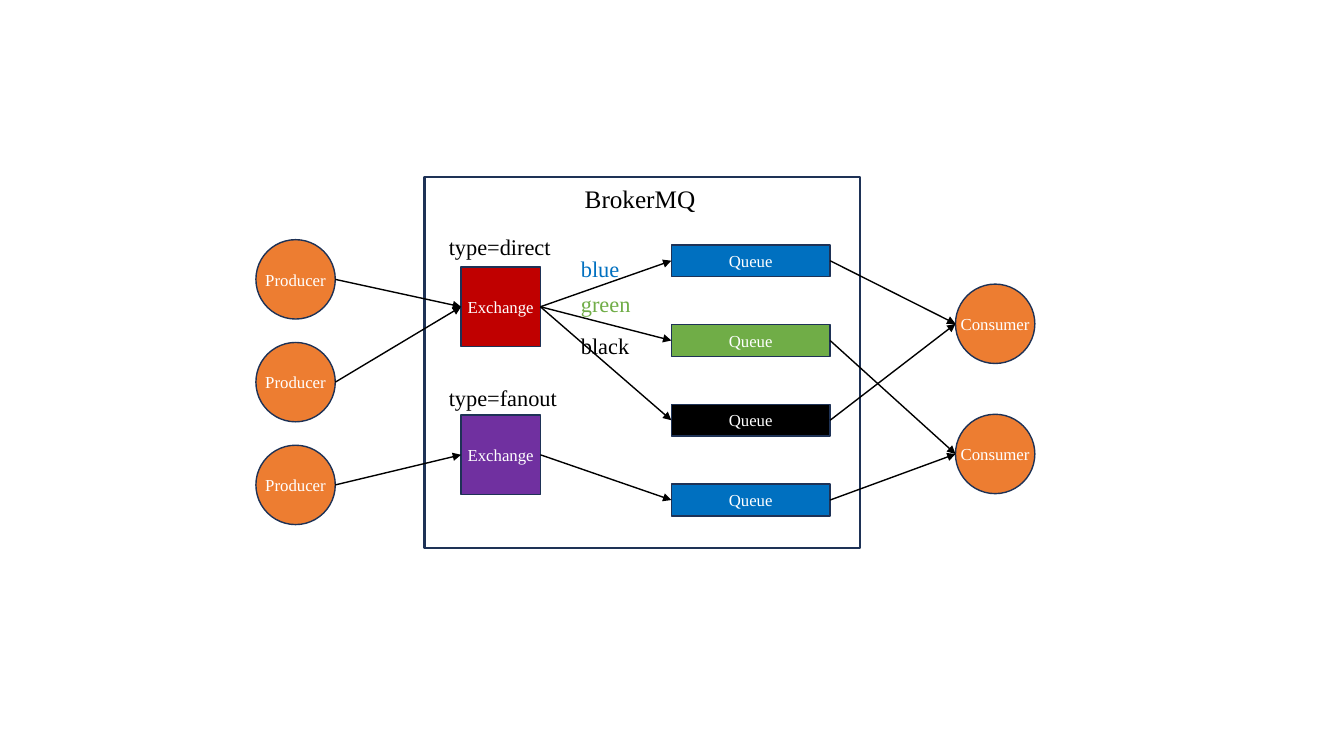
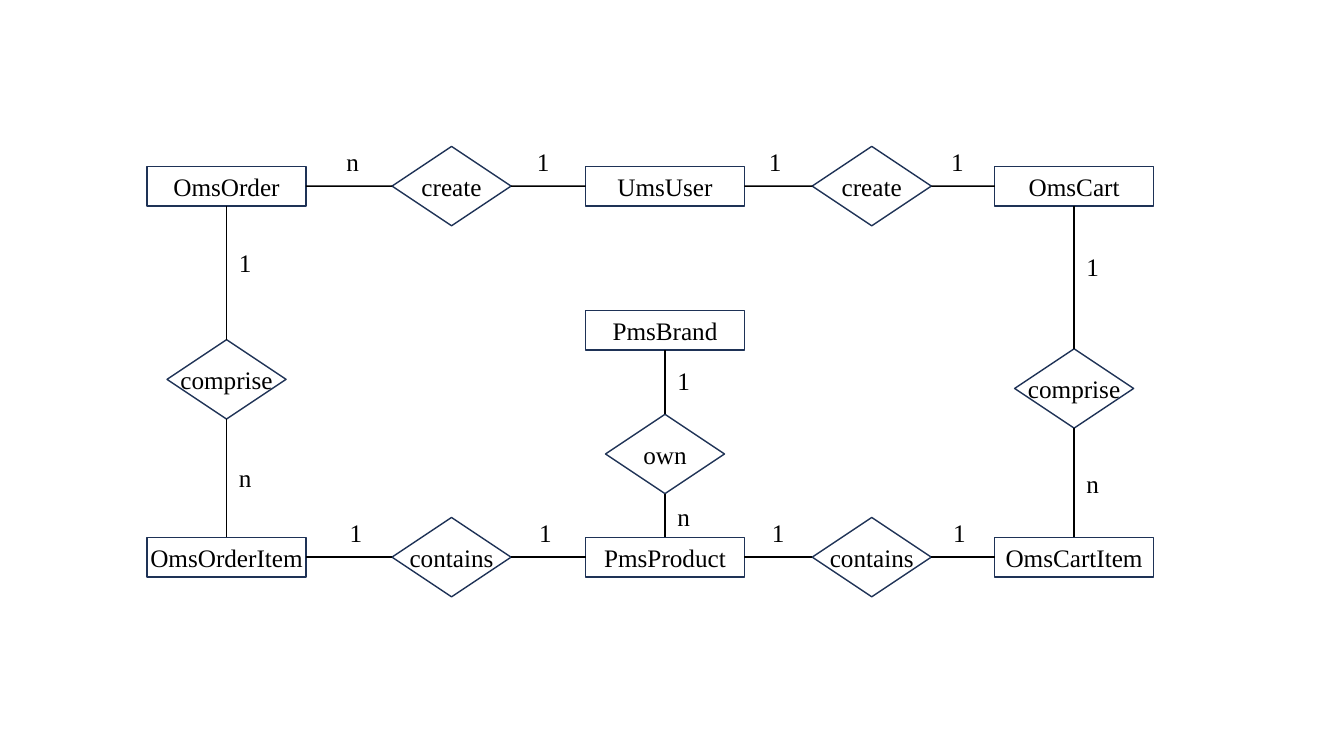
"""Build two diagrams: a message broker flow and an entity relationship chart."""
from dataclasses import dataclass

from lxml import etree
from pptx import Presentation
from pptx import util as u
from pptx.dml.color import RGBColor
from pptx.enum import shapes, text
from pptx.oxml.ns import qn

TOP, LEFT, BOTTOM, RIGHT = range(4)


@dataclass(frozen=True)
class Theme:
    """Colours, font and type sizes shared by the slides."""
    font: str = "Times New Roman"
    ink: str = "000000"
    paper: str = "FFFFFF"
    outline: str = "1E3256"
    orange: str = "ED7D31"
    red: str = "C00000"
    purple: str = "7030A0"
    blue: str = "0070C0"
    green: str = "70AD47"
    small: int = 12
    medium: int = 16
    large: int = 18
    thin: float = 1
    thick: float = 1.5


@dataclass(frozen=True)
class Box:
    """A region in centimetres."""
    left: float
    top: float
    width: float
    height: float

    def inner(self, left, top, width, height):
        """Return a box placed relative to this one."""
        return Box(self.left + left, self.top + top, width, height)

    def lengths(self):
        """Return left, top, width and height as lengths."""
        return [u.Cm(side) for side in (self.left, self.top, self.width, self.height)]


THEME = Theme()
KIND = shapes.MSO_SHAPE


def write(frame, words, size, color, align):
    """Write one unwrapped paragraph in a text frame."""
    frame.word_wrap = False
    paragraph = frame.paragraphs[0]
    paragraph.text = words
    paragraph.alignment = align
    paragraph.font.name = THEME.font
    paragraph.font.size = u.Pt(size)
    paragraph.font.color.rgb = RGBColor.from_string(color)


def add_node(slide, kind, box, words="", fill=None, size=THEME.small,
             color=THEME.paper, weight=THEME.thin):
    """Add an outlined shape with centred words."""
    node = slide.shapes.add_shape(kind, *box.lengths())
    node.shadow.inherit = False
    if fill:
        node.fill.solid()
        node.fill.fore_color.rgb = RGBColor.from_string(fill)
    else:
        node.fill.background()
    node.line.color.rgb = RGBColor.from_string(THEME.outline)
    node.line.width = u.Pt(weight)
    if words:
        node.text_frame.vertical_anchor = text.MSO_ANCHOR.MIDDLE
        write(node.text_frame, words, size, color, text.PP_ALIGN.CENTER)
    return node


def add_label(slide, box, words, size, color=THEME.ink, align=text.PP_ALIGN.LEFT):
    """Add a free-standing label."""
    frame = slide.shapes.add_textbox(*box.lengths()).text_frame
    frame.auto_size = text.MSO_AUTO_SIZE.SHAPE_TO_FIT_TEXT
    write(frame, words, size, color, align)


def side_middle(node, side):
    """Return the middle point of one side of a shape."""
    across = {LEFT: 0, RIGHT: node.width}.get(side, node.width // 2)
    down = {TOP: 0, BOTTOM: node.height}.get(side, node.height // 2)
    return node.left + across, node.top + down


def link(slide, start, start_side, end, end_side, arrow=False):
    """Join the sides of two shapes with a straight line."""
    line = slide.shapes.add_connector(
        shapes.MSO_CONNECTOR.STRAIGHT,
        *side_middle(start, start_side), *side_middle(end, end_side))
    if start.auto_shape_type != KIND.OVAL:
        line.begin_connect(start, start_side)
    if end.auto_shape_type != KIND.OVAL:
        line.end_connect(end, end_side)
    line.line.color.rgb = RGBColor.from_string(THEME.ink)
    line.line.width = u.Pt(THEME.thin)
    properties = line._element.spPr
    if arrow:
        etree.SubElement(properties.find(qn("a:ln")), qn("a:tailEnd"), type="triangle")
    etree.SubElement(properties, qn("a:effectLst"))


def add_peers(slide, box, words, count):
    """Stack equal circles from the top to the bottom of a box."""
    step = (box.height - box.width) / (count - 1)
    return [add_node(slide, KIND.OVAL, box.inner(0, step * i, box.width, box.width),
                     words, THEME.orange)
            for i in range(count)]


def add_broker(slide, box):
    """Draw the broker with its exchanges, queues and routing keys."""
    add_node(slide, KIND.RECTANGLE, box, weight=THEME.thick)
    add_label(slide, box.inner(3.43, 0.03, 4, 1.02), "BrokerMQ", THEME.large,
              align=text.PP_ALIGN.CENTER)
    exchanges = [
        add_node(slide, KIND.RECTANGLE, box.inner(0.92, top, 2, 2), "Exchange", fill)
        for top, fill in ((2.26, THEME.red), (5.99, THEME.purple))]
    queue_fills = (THEME.blue, THEME.green, THEME.ink, THEME.blue)
    queues = [
        add_node(slide, KIND.RECTANGLE, box.inner(6.22, 1.7 + 2.01 * i, 4, 0.8), "Queue", fill)
        for i, fill in enumerate(queue_fills)]
    for exchange, queue in zip((0, 0, 0, 1), queues):
        link(slide, exchanges[exchange], RIGHT, queue, LEFT, arrow=True)
    for left, top, width, words, color in (
            (0.36, 1.27, 3.12, "type=direct", THEME.ink),
            (0.36, 5.08, 3.28, "type=fanout", THEME.ink),
            (3.69, 1.83, 1.5, "blue", THEME.blue),
            (3.69, 2.72, 1.78, "green", THEME.green),
            (3.69, 3.78, 1.75, "black", THEME.ink)):
        add_label(slide, box.inner(left, top, width, 0.94), words, THEME.medium, color)
    return exchanges, queues


def message_flow(slide, box):
    """Draw producers, the broker and consumers from left to right."""
    producers = add_peers(slide, box.inner(0, 1.57, 2, 7.18), "Producer", 3)
    consumers = add_peers(slide, box.inner(17.63, 2.69, 2, 5.28), "Consumer", 2)
    exchanges, queues = add_broker(slide, box.inner(4.25, 0, 10.97, 9.35))
    for producer, exchange in zip(producers, (0, 0, 1)):
        link(slide, producer, RIGHT, exchanges[exchange], LEFT, arrow=True)
    for queue, consumer in zip(queues, (0, 1, 0, 1)):
        link(slide, queue, RIGHT, consumers[consumer], LEFT, arrow=True)


ENTITY_CENTRES = {
    "OmsOrder": (2, 1), "UmsUser": (13.05, 1), "OmsCart": (23.36, 1),
    "PmsBrand": (13.05, 4.63),
    "OmsOrderItem": (2, 10.35), "PmsProduct": (13.05, 10.35), "OmsCartItem": (23.36, 10.35),
}

RELATIONS = (
    ("create", "OmsOrder", "UmsUser", 7.67, ("n", 4.77), ("1", 9.57)),
    ("create", "UmsUser", "OmsCart", 18.26, ("1", 15.42), ("1", 20.01)),
    ("contains", "OmsOrderItem", "PmsProduct", 7.67, ("1", 4.85), ("1", 9.63)),
    ("contains", "PmsProduct", "OmsCartItem", 18.26, ("1", 15.49), ("1", 20.06)),
    ("comprise", "OmsOrder", "OmsOrderItem", 5.87, ("1", 2.41), ("n", 7.84)),
    ("comprise", "OmsCart", "OmsCartItem", 6.1, ("1", 2.53), ("n", 7.99)),
    ("own", "PmsBrand", "PmsProduct", 7.75, ("1", 5.4), ("n", 8.81)),
)


def entity_chart(slide, box):
    """Draw entities joined through relation diamonds."""

    def centred(kind, x, y, width, height, words):
        """Add a node around a centre in the chart."""
        place = box.inner(x - width / 2, y - height / 2, width, height)
        return add_node(slide, kind, place, words, size=THEME.large, color=THEME.ink)

    entities = {name: centred(KIND.RECTANGLE, x, y, 4, 1, name)
                for name, (x, y) in ENTITY_CENTRES.items()}
    for verb, first, second, middle, *counts in RELATIONS:
        x, y = ENTITY_CENTRES[first]
        level = y == ENTITY_CENTRES[second][1]
        out, into = (RIGHT, LEFT) if level else (BOTTOM, TOP)
        centre = (middle, y) if level else (x, middle)
        diamond = centred(KIND.FLOWCHART_DECISION, *centre, 3, 2, verb)
        link(slide, entities[first], out, diamond, into)
        link(slide, diamond, out, entities[second], into)
        for count, offset in counts:
            corner = (offset, y - 1.12) if level else (x + 0.06, offset)
            add_label(slide, box.inner(*corner, 0.84, 1.02), count, THEME.large)


def main():
    """Build and save the presentation."""
    deck = Presentation()
    deck.slide_width, deck.slide_height = u.Cm(33.87), u.Cm(19.05)
    blank = deck.slide_layouts[6]
    message_flow(deck.slides.add_slide(blank), Box(6.45, 4.47, 19.63, 9.35))
    entity_chart(deck.slides.add_slide(blank), Box(3.71, 3.69, 25.36, 11.35))
    deck.save("out.pptx")


if __name__ == "__main__":
    main()
